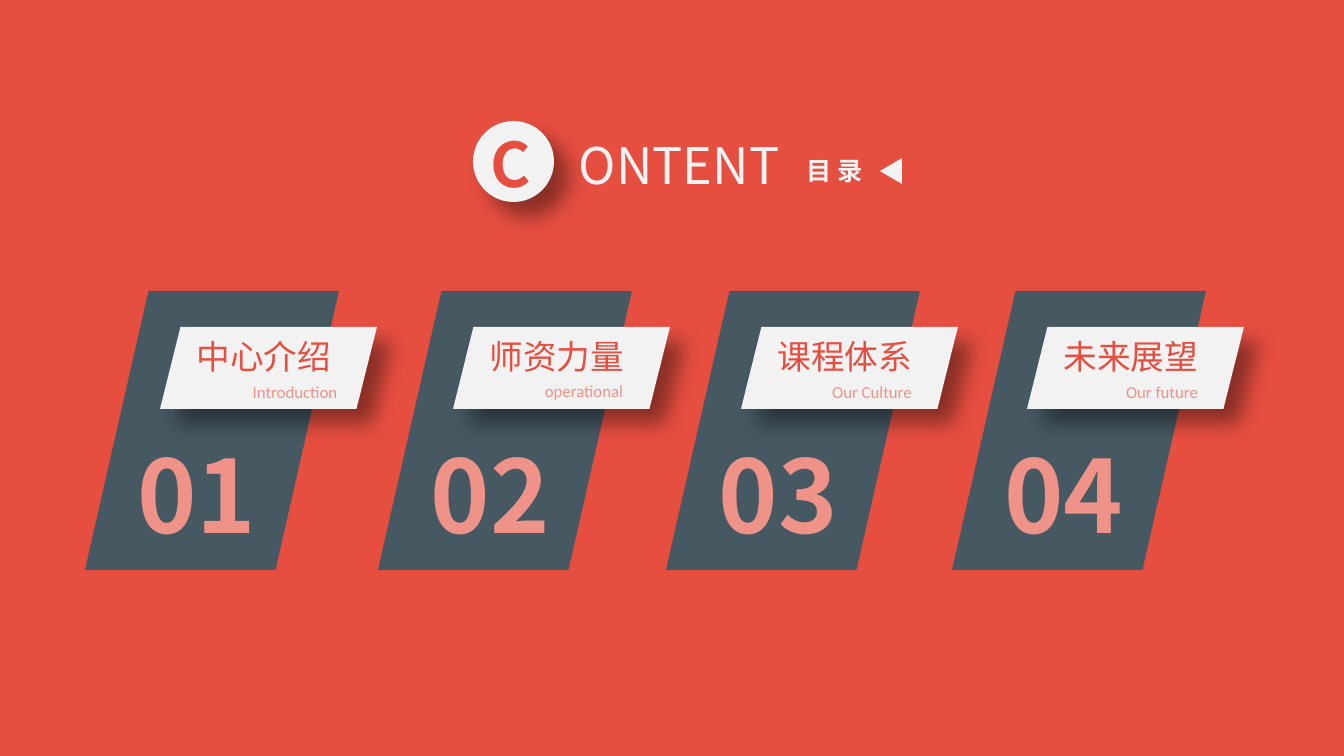
from lxml import etree
from pptx import Presentation
from pptx import util as u
from pptx.dml.color import RGBColor
from pptx.enum import shapes, text
from pptx.oxml.ns import qn

PX = 914400 / 100.8
RED, SLATE, PALE, PINK = "E64E40", "465862", "F2F2F2", "EF9389"
CJK, LATIN = "Noto Sans CJK SC", "Calibri"

# Card left edge, number, title, caption, caption centre, caption top
CARDS = [
    (85, "01", "中心介绍", "Introduction", 295, 377),
    (378, "02", "师资力量", "operational", 584, 376),
    (666, "03", "课程体系", "Our Culture", 872, 377),
    (952, "04", "未来展望", "Our future", 1162, 377),
]
CAPTION_WIDTH = 106


def px(*lengths):
    return [u.Emu(round(length * PX)) for length in lengths]


def color(value):
    return RGBColor.from_string(value)


def add_shadow(shape):
    effects = shape._element.spPr.find(qn("a:effectLst"))
    shadow = etree.SubElement(effects, qn("a:outerShdw"), blurRad=str(u.Pt(15)),
                              dist=str(u.Pt(15)), dir=str(45 * 60000),
                              algn="tl", rotWithShape="0")
    black = etree.SubElement(shadow, qn("a:srgbClr"), val="000000")
    etree.SubElement(black, qn("a:alpha"), val="40000")


def add_form(kind, box, fill, shadow=False, rotation=0):
    shape = page.shapes.add_shape(kind, *px(*box))
    shape.shadow.inherit = False
    shape.fill.solid()
    shape.fill.fore_color.rgb = color(fill)
    shape.line.fill.background()
    shape.rotation = rotation
    if shadow:
        add_shadow(shape)


def add_text(content, box, size, fill, font=CJK, bold=False, wrap=True,
             align=text.PP_ALIGN.CENTER):
    frame = page.shapes.add_textbox(*px(*box)).text_frame
    frame.word_wrap = wrap
    frame.auto_size = text.MSO_AUTO_SIZE.SHAPE_TO_FIT_TEXT
    para = frame.paragraphs[0]
    para.alignment = align
    span = para.add_run()
    span.text = content
    span.font.size = u.Pt(size)
    span.font.bold = bold
    span.font.name = font
    span.font.color.rgb = color(fill)
    etree.SubElement(span.font._element, qn("a:ea"), typeface=font)


deck = Presentation()
deck.slide_width, deck.slide_height = px(1344, 756)
page = deck.slides.add_slide(deck.slide_layouts[6])
page.background.fill.solid()
page.background.fill.fore_color.rgb = color(RED)

# Cards: slanted panel, number, raised label
SLANTED = shapes.MSO_SHAPE.PARALLELOGRAM
for left, number, title, caption, centre, caption_top in CARDS:
    add_form(SLANTED, (left, 291, 254, 279), SLATE)
    add_text(number, (left + 23, 428, 178, 132), 72, PINK, bold=True)
    add_form(SLANTED, (left + 75, 327, 217, 82), PALE, shadow=True)
    add_text(title, (left + 90, 331, 178, 50), 24, RED)
    add_text(caption, (centre - CAPTION_WIDTH / 2, caption_top, CAPTION_WIDTH, 30),
             12, PINK, font=LATIN, wrap=False)

# Heading
add_text("ONTENT", (569, 129, 243, 72), 36, PALE, align=text.PP_ALIGN.LEFT)
add_text("目 录", (797, 150, 91, 40), 18, PALE, bold=True, align=text.PP_ALIGN.LEFT)
add_form(shapes.MSO_SHAPE.ISOSCELES_TRIANGLE, (878, 160, 26, 22), PALE, rotation=270)
add_form(shapes.MSO_SHAPE.OVAL, (473, 121, 81, 81), PALE, shadow=True)
add_text("C", (467, 121, 88, 85), 44, RED, bold=True)

deck.save("out.pptx")
